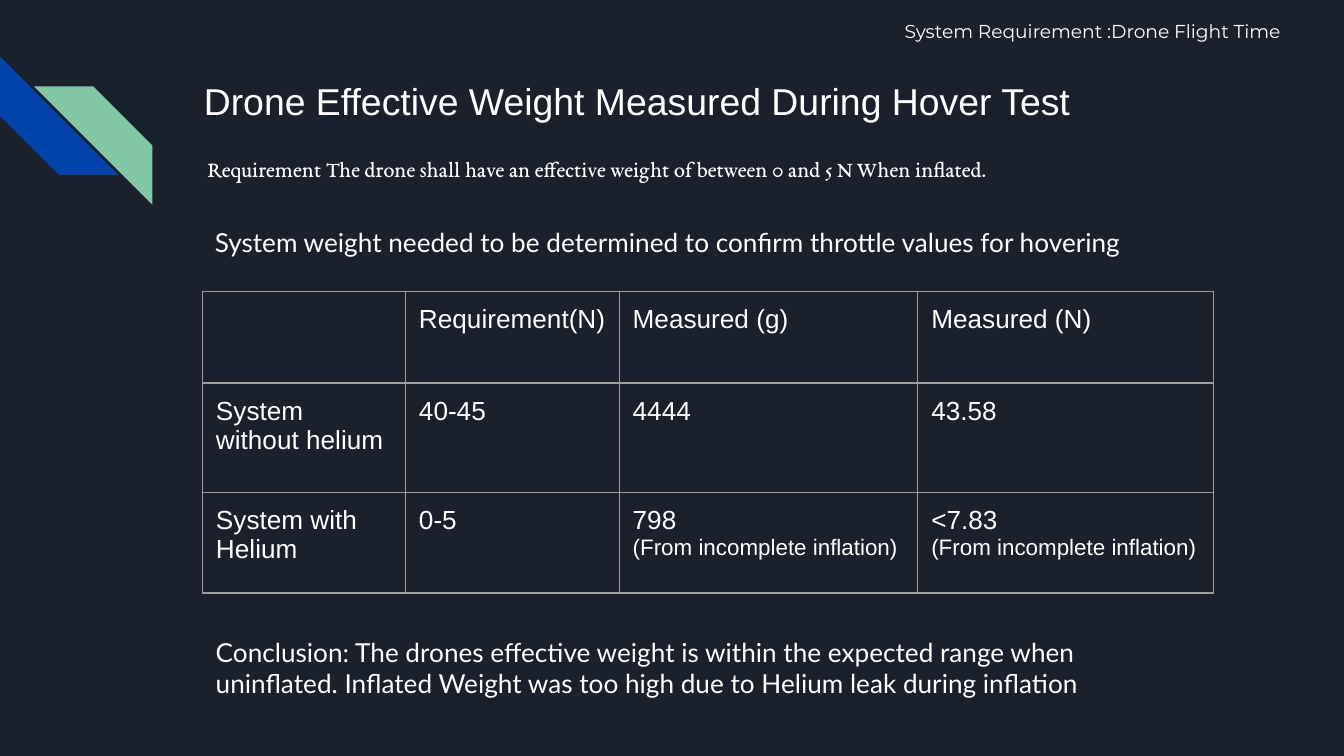
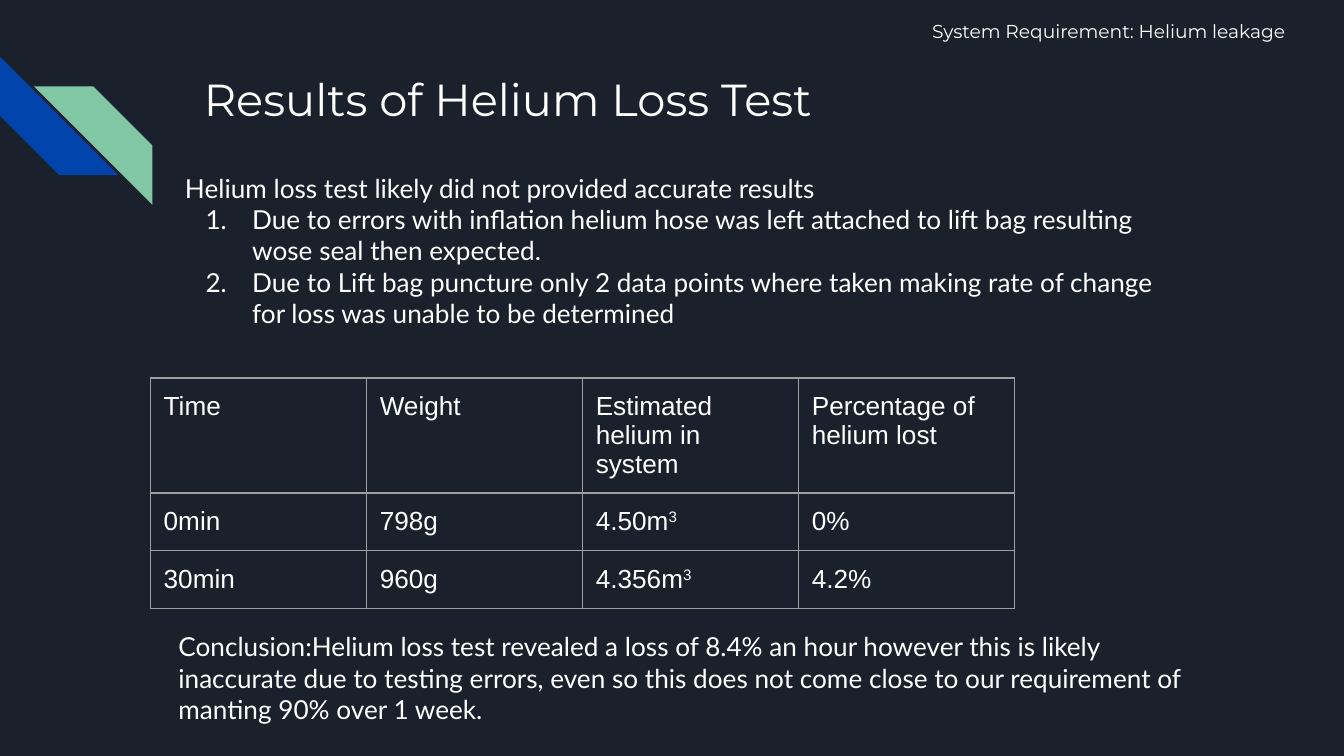
"""Builds two slides of drone test results: effective weight and helium loss."""
from dataclasses import dataclass

from lxml.etree import SubElement
from pptx import Presentation
from pptx.dml.color import RGBColor as Rgb
from pptx.enum.shapes import MSO_SHAPE as Preset
from pptx.enum.text import MSO_ANCHOR as Anchor, MSO_AUTO_SIZE as AutoSize, PP_ALIGN as Align
from pptx.oxml.ns import qn
from pptx.util import Pt


@dataclass(frozen=True)
class Theme:
    """Colours, fonts and sizes shared by the slides."""
    background: str = "1B212C"
    text: str = "FFFFFF"
    blue: str = "0145AC"
    green: str = "82C7A5"
    grid: str = "9E9E9E"
    grid_width: float = 0.75
    inset: float = 7.2
    body: tuple = ("Lato", 14)
    header: tuple = ("Montserrat", 10)
    requirement: tuple = ("EB Garamond", 12)
    cell: tuple = ("Arial", 14)
    note_size: int = 12
    weight_title: tuple = ("Arial", 20)
    loss_title: tuple = ("Montserrat", 24)


THEME = Theme()
SPACED = dict(line_spacing=1.15, space_after=12)
STRIPES = [
    (THEME.blue, (0, 30.25, 63.5, 63.5), 270, False),
    (THEME.green, (18.25, 46.25, 63.5, 63.5), 0, True),
]

SLIDES = [
    dict(
        title=("Drone Effective Weight Measured During Hover Test",
               (102, 31, 554.5, 34), dict(style=THEME.weight_title, **SPACED)),
        texts=[
            ("Requirement The drone shall have an effective weight of between 0 and 5 N When inflated.",
             (104, 73.5, 548.5, 29), dict(style=THEME.requirement, **SPACED)),
            ("Conclusion: The drones effective weight is within the expected range when uninflated. "
             "Inflated Weight was too high due to Helium leak during inflation",
             (108.5, 333.5, 515, 48), {}),
            ("System Requirement :Drone Flight Time",
             (477.5, 4.5, 234.5, 26.5), dict(style=THEME.header)),
            ("System weight needed to be determined to confirm throttle values for hovering",
             (108, 114, 531.5, 31.5), {}),
        ],
        table=dict(
            corner=(108.5, 156.25),
            columns=[108.75, 114.5, 160, 158.25],
            heights=[49, 58.5, 54],
            rows=[
                ["", "Requirement(N)", "Measured (g)", "Measured (N)"],
                ["System without helium", "40-45", "4444", "43.58"],
                ["System with Helium", "0-5", "798\n(From incomplete inflation)",
                 "<7.83\n(From incomplete inflation)"],
            ]),
    ),
    dict(
        title=("Results of Helium Loss Test",
               (102, 31, 554.5, 72), dict(style=THEME.loss_title)),
        texts=[
            ("Helium loss test likely did not provided accurate results\n"
             "Due to errors with inflation helium hose was left attached to lift bag "
             "resulting wose seal then expected.\n"
             "Due to Lift bag puncture only 2 data points where taken making rate of change "
             "for loss was unable to be determined",
             (92, 85, 547, 99.5), dict(numbered=True)),
            ("System Requirement: Helium leakage",
             (492.25, 4.5, 223, 26.5), dict(style=THEME.header)),
            ("Conclusion:Helium loss test revealed a loss of 8.4% an hour however this is likely "
             "inaccurate due to testing errors, even so this does not come close to our "
             "requirement of manting 90% over 1 week.",
             (88.5, 330.75, 554.5, 65.5), {}),
        ],
        table=dict(
            corner=(80.5, 202.5),
            columns=[115.75] * 4,
            heights=[48, 31, 31],
            rows=[
                ["Time", "Weight", "Estimated helium in system", "Percentage of helium lost"],
                ["0min", "798g", "4.50m^3", "0%"],
                ["30min", "960g", "4.356m^3", "4.2%"],
            ]),
    ),
]


def points(values):
    return [Pt(value) for value in values]


def number(paragraph):
    properties = paragraph._p.get_or_add_pPr()
    properties.set("marL", str(Pt(36)))
    properties.set("indent", str(-Pt(25)))
    colour = SubElement(properties, qn("a:buClr"))
    SubElement(colour, qn("a:srgbClr"), val=THEME.text)
    SubElement(properties, qn("a:buAutoNum"), type="arabicPeriod")


def write(frame, text, style=THEME.body, later_size=None, numbered=False,
          line_spacing=None, space_after=None):
    """Write lines into a frame; a caret starts a superscript, later lines may differ."""
    font, size = style
    frame.word_wrap = True
    for index, line in enumerate(text.split("\n")):
        paragraph = frame.add_paragraph() if index else frame.paragraphs[0]
        paragraph.alignment = Align.LEFT
        if line_spacing:
            paragraph.line_spacing = line_spacing
        if space_after:
            paragraph.space_after = Pt(space_after)
        if numbered and index:
            number(paragraph)
        for raised, part in enumerate(line.split("^")):
            run = paragraph.add_run()
            run.text = part
            run.font.name = font
            run.font.size = Pt(later_size if later_size and index else size)
            run.font.color.rgb = Rgb.from_string(THEME.text)
            if raised:
                run.font._element.set("baseline", "30000")


def set_insets(holder):
    for side in ("left", "top", "right", "bottom"):
        setattr(holder, f"margin_{side}", Pt(THEME.inset))


def add_stripes(slide):
    for colour, box, rotation, flipped in STRIPES:
        stripe = slide.shapes.add_shape(Preset.DIAGONAL_STRIPE, *points(box))
        stripe.shadow.inherit = False
        stripe.fill.solid()
        stripe.fill.fore_color.rgb = Rgb.from_string(colour)
        stripe.line.fill.background()
        stripe.rotation = rotation
        if flipped:
            stripe._element.spPr.xfrm.set("flipH", "1")


def place_title(slide, text, box, style):
    title = slide.shapes.title
    title.left, title.top, title.width, title.height = points(box)
    frame = title.text_frame
    set_insets(frame)
    frame.auto_size = AutoSize.NONE
    frame.vertical_anchor = Anchor.TOP
    write(frame, text, **style)


def add_text(slide, text, box, style):
    frame = slide.shapes.add_textbox(*points(box)).text_frame
    set_insets(frame)
    frame.auto_size = AutoSize.SHAPE_TO_FIT_TEXT
    write(frame, text, **style)


def outline(cell):
    properties = cell._tc.get_or_add_tcPr()
    for edge in ("lnL", "lnR", "lnT", "lnB"):
        line = SubElement(properties, qn(f"a:{edge}"), w=str(Pt(THEME.grid_width)))
        SubElement(SubElement(line, qn("a:solidFill")), qn("a:srgbClr"), val=THEME.grid)


def add_results(slide, corner, columns, heights, rows):
    box = (*corner, sum(columns), sum(heights))
    table = slide.shapes.add_table(len(rows), len(columns), *points(box)).table
    table.first_row = table.horz_banding = False
    for column, width in zip(table.columns, columns):
        column.width = Pt(width)
    for row, height, texts in zip(table.rows, heights, rows):
        row.height = Pt(height)
        for cell, text in zip(row.cells, texts):
            set_insets(cell)
            outline(cell)
            cell.fill.background()
            if text:
                write(cell.text_frame, text, style=THEME.cell, later_size=THEME.note_size)


def main():
    deck = Presentation()
    deck.slide_width, deck.slide_height = points((720, 405))
    for content in SLIDES:
        slide = deck.slides.add_slide(deck.slide_layouts[5])
        slide.background.fill.solid()
        slide.background.fill.fore_color.rgb = Rgb.from_string(THEME.background)
        add_stripes(slide)
        place_title(slide, *content["title"])
        add_results(slide, **content["table"])
        for text in content["texts"]:
            add_text(slide, *text)
    deck.save("out.pptx")


if __name__ == "__main__":
    main()
